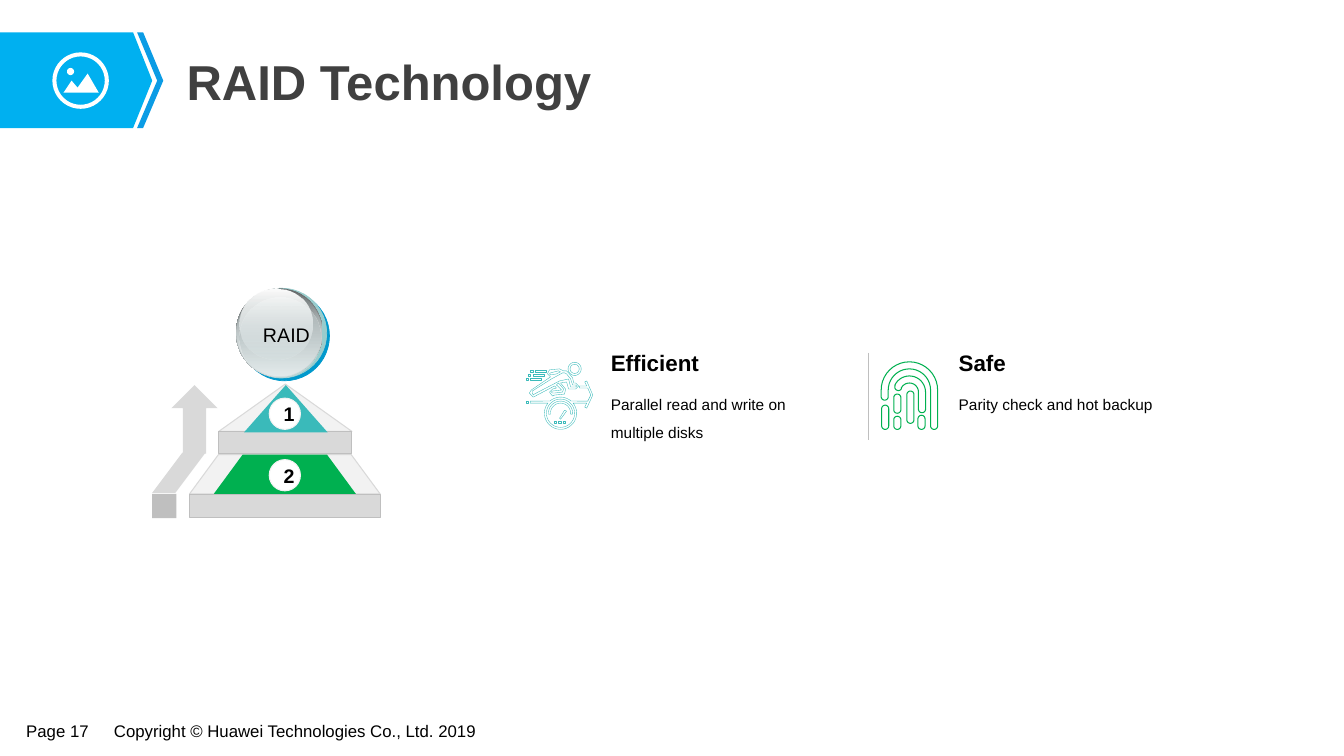
import math
import pptx
import pptx.util
import pptx.dml.color
import pptx.enum.shapes
import pptx.enum.text
import pptx.oxml
import pptx.oxml.ns
from lxml import etree

Inches, Pt = pptx.util.Inches, pptx.util.Pt
RGB = pptx.dml.color.RGBColor
KIND = pptx.enum.shapes.MSO_SHAPE
MID = pptx.enum.text.MSO_ANCHOR.MIDDLE
TOP = pptx.enum.text.MSO_ANCHOR.TOP
MIDDLE = pptx.enum.text.PP_ALIGN.CENTER
qn = pptx.oxml.ns.qn

WHITE, BLACK, DARK = RGB(255, 255, 255), RGB(0, 0, 0), RGB(0x40, 0x40, 0x40)
SKY, BLUE = RGB(0x00, 0xB0, 0xF0), RGB(0x0B, 0x9C, 0xE5)
TEAL, GREEN = RGB(0x3A, 0xBA, 0xBA), RGB(0x00, 0xB0, 0x50)
PALE, LIGHT, GREY = RGB(0xF2, 0xF2, 0xF2), RGB(0xD9, 0xD9, 0xD9), RGB(0xBF, 0xBF, 0xBF)
RIM = RGB(0x99, 0xCC, 0xCC)
MIST, STEEL = RGB(0xD6, 0xE1, 0xE2), RGB(0x63, 0x68, 0x69)
ASH, FROST = RGB(0xAA, 0xB2, 0xB3), RGB(0xF1, 0xF5, 0xF5)

TITLE = "RAID Technology"
# text, left, width
FOOTER = [("Page 17", 0.17, 0.87),
          ("Copyright © Huawei Technologies Co., Ltd. 2019", 1.04, 4.2)]
# heading, body, left, body width
POINTS = [("Efficient", "Parallel read and write on multiple disks", 5.96, 2.41),
          ("Safe", "Parity check and hot backup", 9.41, 2.81)]
# number, kind, colour, back box, front box, base top, number top
TIERS = [("2", KIND.TRAPEZOID, GREEN, (1.88, 4.51, 1.89, 0.39), (2.12, 4.51, 1.41, 0.39), 4.91, 4.56),
         ("1", KIND.ISOSCELES_TRIANGLE, TEAL, (2.17, 3.81, 1.32, 0.47), (2.42, 3.82, 0.83, 0.47), 4.28, 3.95)]
# box, then colour and opacity of the upper and lower stop
GLASS = [((2.34, 2.86, 0.86, 0.88), (STEEL, 100), (MIST, 100)),
         ((2.35, 2.87, 0.84, 0.86), (MIST, 0), (FROST, 100)),
         ((2.38, 2.95, 0.80, 0.80), (ASH, 100), (MIST, 48)),
         ((2.38, 2.86, 0.72, 0.71), (WHITE, 100), (MIST, 38))]
# small boxes of the runner icon: left, top, width
DASHES = [(5.59, 4.18, 0.02), (5.54, 4.18, 0.03), (5.50, 4.18, 0.02), (5.22, 3.98, 0.02),
          (5.26, 3.75, 0.11), (5.22, 3.75, 0.02), (5.29, 3.71, 0.11), (5.24, 3.71, 0.02),
          (5.31, 3.67, 0.11), (5.26, 3.67, 0.03)]
NEEDLE = [(5.60, 4.07), (5.62, 4.08), (5.56, 4.16), (5.55, 4.15)]
LEG = [(5.54, 3.80), (5.52, 3.82), (5.57, 3.87), (5.48, 3.88), (5.47, 3.89),
       (5.48, 3.90), (5.50, 3.90), (5.58, 3.89), (5.59, 3.86)]
TRUNK = [(5.60, 3.70), (5.58, 3.70), (5.47, 3.76), (5.28, 3.88), (5.28, 3.90), (5.29, 3.92),
         (5.30, 3.91), (5.55, 3.78), (5.64, 3.76), (5.66, 3.84), (5.71, 3.84), (5.72, 3.83),
         (5.71, 3.82), (5.68, 3.82), (5.66, 3.76), (5.62, 3.71)]
ARM = [(5.54, 3.68), (5.46, 3.70), (5.45, 3.71), (5.46, 3.72), (5.52, 3.71), (5.56, 3.69)]
BODY = [(5.55, 3.66), (5.59, 3.68), (5.62, 3.68), (5.64, 3.70), (5.68, 3.75), (5.69, 3.80),
        (5.71, 3.80), (5.74, 3.83), (5.71, 3.86), (5.64, 3.86), (5.62, 3.79), (5.56, 3.80),
        (5.61, 3.86), (5.60, 3.91), (5.50, 3.92), (5.48, 3.93), (5.45, 3.89), (5.48, 3.86),
        (5.52, 3.85), (5.50, 3.83), (5.31, 3.93), (5.29, 3.94), (5.25, 3.90), (5.27, 3.87),
        (5.46, 3.74), (5.43, 3.71), (5.45, 3.67)]
HEAD = [(5.83, 3.98), (5.86, 3.92), (5.83, 3.85), (5.75, 3.85), (5.75, 3.83), (5.82, 3.83),
        (5.80, 3.79), (5.82, 3.78), (5.88, 3.92), (5.82, 4.05), (5.80, 4.04), (5.82, 4.00)]
# finger ridges: middle, top, bottom
RIDGES = [(8.90, 4.13, 4.26), (9.14, 4.12, 4.26), (8.78, 4.02, 4.26),
          (8.90, 3.91, 4.10), (9.03, 3.88, 4.20)]

prs = pptx.Presentation()
prs.slide_width, prs.slide_height = Inches(13.33), Inches(7.5)
slide = prs.slides.add_slide(prs.slide_layouts[5])
shapes = slide.shapes


def paint(shape, fill=None, line=None, width=0.75):
    shape.shadow.inherit = False
    if fill is None:
        shape.fill.background()
    else:
        shape.fill.solid()
        shape.fill.fore_color.rgb = fill
    if line is None:
        shape.line.fill.background()
    else:
        shape.line.color.rgb = line
        shape.line.width = Pt(width)
    return shape


def form(kind, box, fill=None, line=None, width=0.75):
    return paint(shapes.add_shape(kind, *map(Inches, box)), fill, line, width)


def write(shape, text, size, bold=False, color=BLACK, anchor=TOP):
    frame = shape.text_frame
    frame.text = text
    frame.word_wrap = True
    frame.vertical_anchor = anchor
    font = frame.paragraphs[0].runs[0].font
    font.name, font.size, font.bold, font.color.rgb = "Arial", Pt(size), bold, color
    return frame


def label(text, box, size, **look):
    return write(shapes.add_textbox(*map(Inches, box)), text, size, **look)


def inset(frame, side, end):
    frame.margin_left = frame.margin_right = Inches(side)
    frame.margin_top = frame.margin_bottom = Inches(end)


def arc(x, y, r, start=0, end=360):
    """Points on a circle, in degrees clockwise from the right."""
    steps = max(6, round(abs(end - start) / 9))
    turns = [math.radians(start + (end - start) * i / steps) for i in range(steps + 1)]
    return [(x + r * math.cos(t), y + r * math.sin(t)) for t in turns]


def outline(loops, **look):
    """One freeform made of several closed loops of points."""
    loops = [[(Inches(x), Inches(y)) for x, y in loop] for loop in loops]
    pen = shapes.build_freeform(*loops[0][0], scale=1.0)
    for i, loop in enumerate(loops):
        if i:
            pen.move_to(*loop[0])
        pen.add_line_segments(loop[1:], close=True)
    return paint(pen.convert_to_shape(), **look)


# Footer, banner and title
for text, left, width in FOOTER:
    inset(label(text, (left, 7.11, width, 0.29), 12), 0.09, 0.04)
outline([[(0, 0.32), (1.32, 0.32), (1.51, 0.8), (1.32, 1.27), (0, 1.27)]], fill=SKY)
outline([[(1.36, 0.32), (1.42, 0.32), (1.62, 0.8), (1.42, 1.27), (1.36, 1.27), (1.56, 0.8)]], fill=BLUE)
hills = [(0.63, 0.92), (0.71, 0.8), (0.77, 0.87), (0.87, 0.73), (0.98, 0.92)]
outline([arc(0.8, 0.8, 0.28), arc(0.8, 0.8, 0.24), hills, arc(0.7, 0.71, 0.035)], fill=WHITE)
title = shapes.title
title.left, title.top, title.width, title.height = map(Inches, (1.74, 0.45, 10.75, 0.7))
frame = write(title, TITLE, 35, bold=True, color=DARK, anchor=MID)
inset(frame, 0.11, 0.06)
frame.paragraphs[0].alignment = pptx.enum.text.PP_ALIGN.LEFT

# Pyramid
for number, kind, color, back, front, base, top in TIERS:
    rear = form(kind, back, PALE, LIGHT)
    form(KIND.RECTANGLE, (back[0], base, back[2], 0.22), LIGHT, GREY)
    face = form(kind, front, color)
    if kind == KIND.TRAPEZOID:
        rear.adjustments[0] = face.adjustments[0] = 0.735
    dot = form(KIND.OVAL, (2.67, top, 0.31, 0.31), WHITE, PALE)
    write(dot, number, 14, bold=True, anchor=MID).paragraphs[0].alignment = MIDDLE

# Rising arrow
form(KIND.RECTANGLE, (1.51, 4.9, 0.24, 0.24), GREY)
form(KIND.PARALLELOGRAM, (1.51, 4.49, 0.53, 0.4), LIGHT).adjustments[0] = 0.75
form(KIND.UP_ARROW, (1.7, 3.82, 0.46, 0.68), LIGHT)

# Points
for head, body, left, width in POINTS:
    frame = label(body, (left, 3.78, width, 0.68), 11)
    frame.paragraphs[0].line_spacing = 1.5
    label(head, (left, 3.41, 2.81, 0.37), 16, bold=True, anchor=MID)
rule = shapes.add_connector(pptx.enum.shapes.MSO_CONNECTOR.STRAIGHT,
                            *map(Inches, (8.61, 3.5, 8.61, 4.37)))
rule.line.color.rgb, rule.line.width = GREY, Pt(0.25)
etree.SubElement(rule._element.spPr, qn("a:effectLst"))

# Glass ball
ball = form(KIND.OVAL, (2.35, 2.86, 0.89, 0.89), RIM, RIM, 0.5)
shade = etree.SubElement(ball._element.spPr.find(qn("a:effectLst")), qn("a:outerShdw"),
                         blurRad="0", dist=str(Pt(2.8)), dir=str(45 * 60000), algn="ctr", rotWithShape="0")
etree.SubElement(shade, qn("a:srgbClr"), val="0099CC")
for box, *stops in GLASS:
    layer = form(KIND.OVAL, box)
    layer.fill.gradient()
    layer.fill.gradient_angle = 270
    for stop, (color, _) in zip(layer.fill.gradient_stops, stops):
        stop.color.rgb = color
    tints = layer._element.spPr.find(qn("a:gradFill")).iter(qn("a:srgbClr"))
    for tint, (_, clear) in zip(list(tints), stops):
        etree.SubElement(tint, qn("a:alpha"), val=str(clear * 1000))
label("RAID", (2.51, 3.15, 0.69, 0.34), 14)

# Runner over a gauge
boxes = [[(x, y), (x + w, y), (x + w, y + 0.02), (x, y + 0.02)] for x, y, w in DASHES]
dial = (5.56, 4.1)
scale = arc(*dial, 0.12, 175, 365) + arc(*dial, 0.1, 365, 175)
track = (HEAD + arc(*dial, 0.16, -39, 219) + [(5.26, 4), (5.26, 3.98)]
         + arc(*dial, 0.16, 229, 311))
rings = [arc(*dial, 0.14), arc(5.7, 3.66, 0.045), arc(5.7, 3.66, 0.065)]
outline(boxes + rings + [scale, track, NEEDLE, LEG, TRUNK, ARM, BODY], line=TEAL, width=0.25)

# Fingerprint
R = 0.035
ridges = [arc(x, top + R, R, 180, 360) + arc(x, low - R, R, 0, 180) for x, top, low in RIDGES]
inner = (arc(9.02, 3.89, 0.16, 205, 360) + arc(9.145, 4.06, R, 0, 180)
         + arc(9.02, 3.89, 0.09, 360, 205) + arc(8.91, 3.84, R, 25, 205))
outer = (arc(9.02, 3.87, 0.28, 180, 360) + arc(9.265, 4.225, R, 0, 180)
         + arc(9.02, 3.87, 0.21, 360, 180) + arc(8.775, 3.935, R, 0, 180))
outline(ridges + [inner, outer], line=GREEN)

prs.save("out.pptx")
